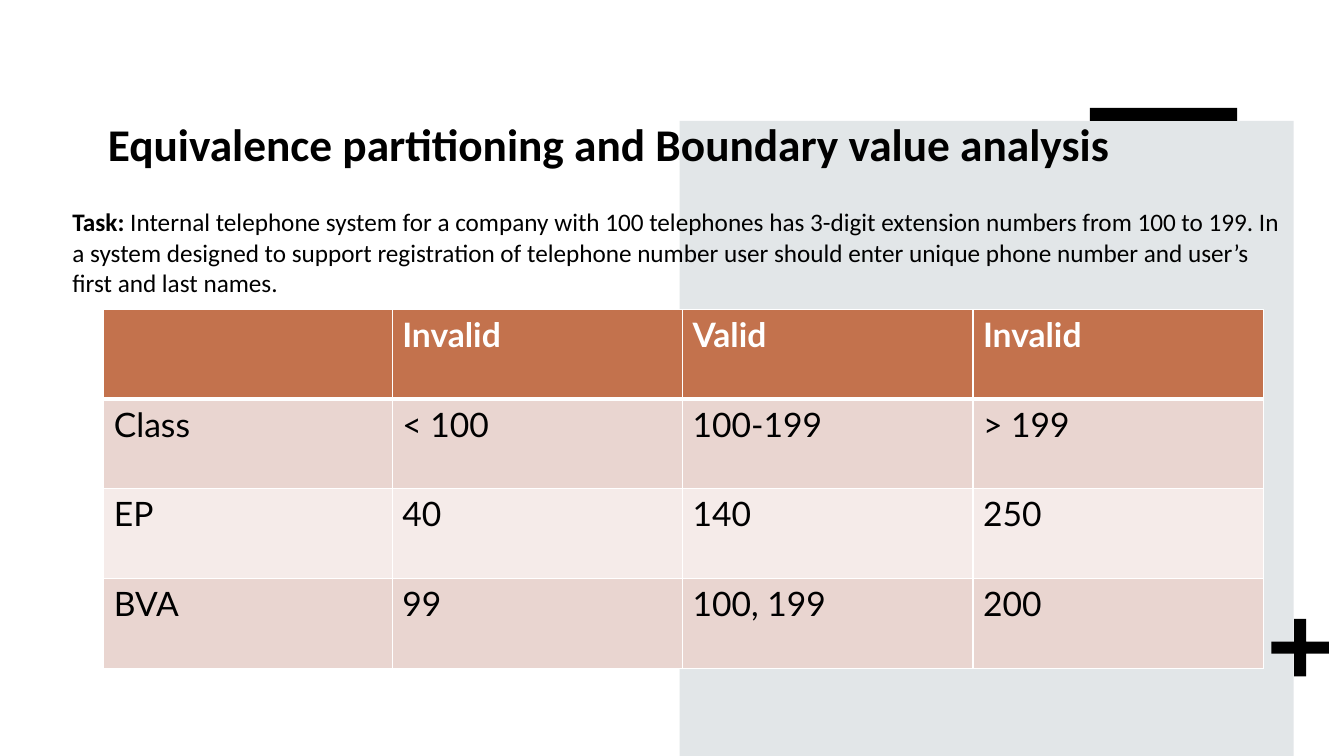
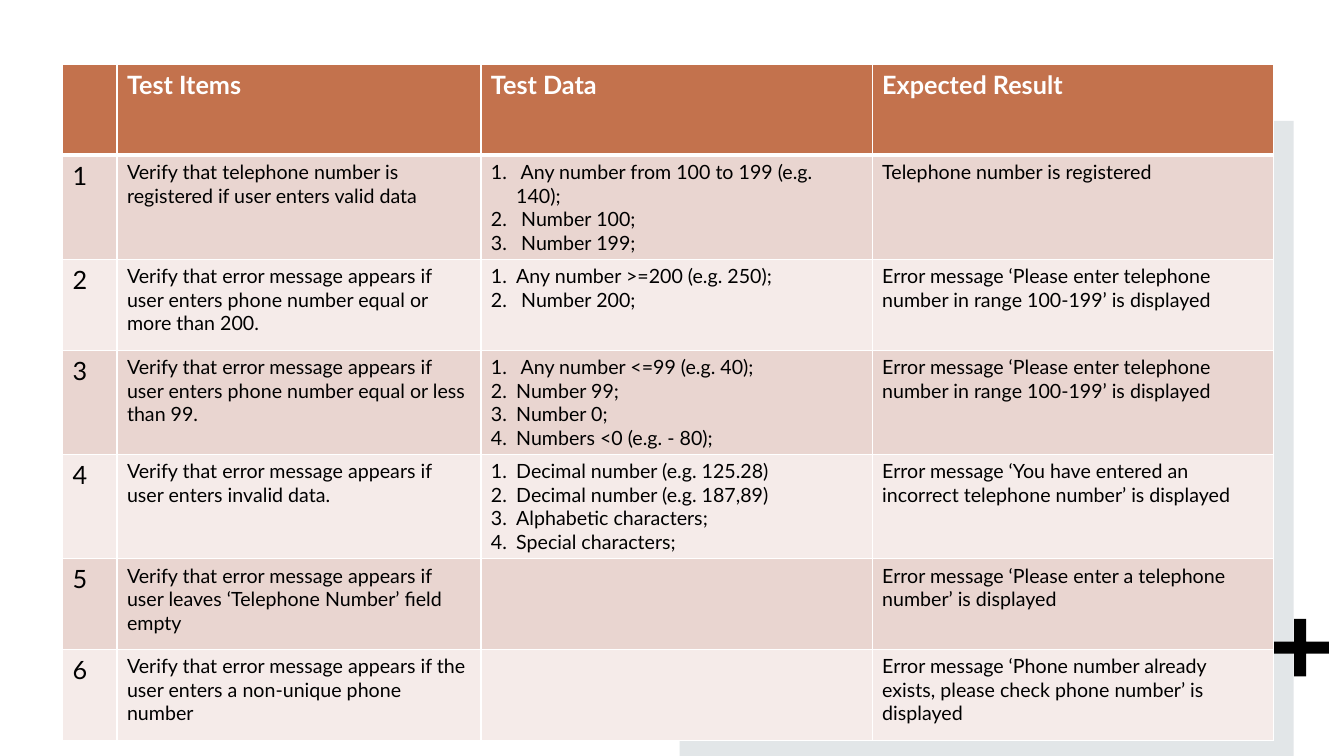
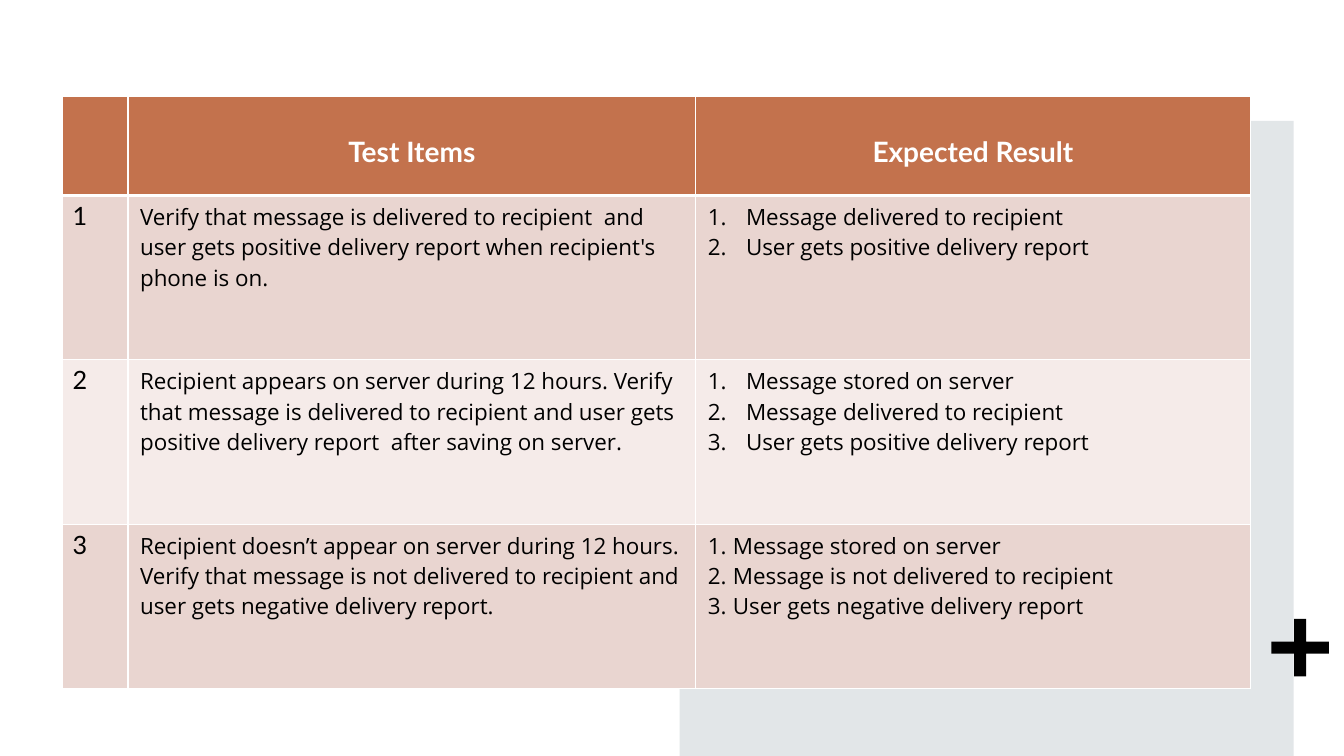
"""Build three slides of test design tables with python-pptx."""

from dataclasses import dataclass, field
from typing import Union

import lxml.etree
import pptx
import pptx.dml.color
import pptx.enum.shapes
import pptx.enum.text
import pptx.oxml.ns
import pptx.util

Inches = pptx.util.Inches
Pt = pptx.util.Pt
RGBColor = pptx.dml.color.RGBColor
Shape = pptx.enum.shapes.MSO_SHAPE
Align = pptx.enum.text.PP_ALIGN
qn = pptx.oxml.ns.qn


@dataclass(frozen=True)
class TextStyle:
    font: str
    size: float
    color: str = "000000"
    bold: bool = False
    alignment: Align = Align.LEFT


@dataclass(frozen=True)
class Theme:
    panel: str = "E2E6E8"
    accent: str = "000000"
    header: str = "C3724D"
    bands: tuple[str, str] = ("E9D5D0", "F5EBE9")
    border: str = "FFFFFF"
    border_width: float = 1
    header_rule: float = 3
    title: TextStyle = TextStyle("Calibri", 32.4, bold=True, alignment=Align.CENTER)
    task: TextStyle = TextStyle("Calibri", 18)
    large_header: TextStyle = TextStyle("Lato", 24, "FFFFFF", True)
    header_text: TextStyle = TextStyle("Lato", 18, "FFFFFF", True)
    centered_header: TextStyle = TextStyle("Lato", 20, "FFFFFF", True, Align.CENTER)
    large_cell: TextStyle = TextStyle("Lato", 24)
    number: TextStyle = TextStyle("Lato", 18)
    detail: TextStyle = TextStyle("Lato", 14)
    delivery: TextStyle = TextStyle("Open Sans", 16)


THEME = Theme()


@dataclass(frozen=True)
class Decoration:
    kind: Shape
    left: float
    top: float
    width: float
    height: float
    color: str
    adjustment: float | None = None


@dataclass(frozen=True)
class Steps:
    items: tuple[str, ...]
    indent: float = 0.25


Content = Union[str, Steps]


@dataclass(frozen=True)
class Insets:
    side: float = 0.1
    top: float = 0.05
    bottom: float = 0.05


@dataclass(frozen=True)
class Column:
    header: str
    width: float
    style: TextStyle
    insets: Insets = Insets()


@dataclass(frozen=True)
class TableContent:
    left: float
    top: float
    header_height: float
    row_height: float
    columns: tuple[Column, ...]
    rows: tuple[tuple[Content, ...], ...]
    header_style: TextStyle
    header_insets: Insets = field(default_factory=Insets)


DECORATIONS = (
    Decoration(Shape.RECTANGLE, 6.74, 1.2, 6.09, 6.3, THEME.panel),
    Decoration(Shape.CROSS, 12.61, 6.14, 0.57, 0.57, THEME.accent, 0.395),
    Decoration(Shape.RECTANGLE, 10.81, 1.07, 1.46, 0.13, THEME.accent),
)

RANGE_ERROR = "Error message ‘Please enter telephone number in range 100-199’ is displayed"
DELIVERY_INSETS = Insets(0.12, 0.06, 0.06)

PARTITION_TABLE = TableContent(
    1.03, 3.07, 0.89, 0.89,
    (
        Column("", 2.86, THEME.large_cell),
        Column("Invalid", 2.88, THEME.large_cell),
        Column("Valid", 2.88, THEME.large_cell),
        Column("Invalid", 2.88, THEME.large_cell),
    ),
    (
        ("Class", "< 100", "100-199", "> 199"),
        ("EP", "40", "140", "250"),
        ("BVA", "99", "100, 199", "200"),
    ),
    THEME.large_header,
)

REGISTRATION_TABLE = TableContent(
    0.62, 0.64, 0.9, 0.9,
    (
        Column("", 0.54, THEME.number),
        Column("Test Items", 3.61, THEME.detail),
        Column("Test Data", 3.88, THEME.detail),
        Column("Expected Result", 3.98, THEME.detail),
    ),
    (
        (
            "1",
            "Verify that telephone number is registered if user enters valid data",
            Steps((" Any number from 100 to 199 (e.g. 140);", " Number 100;", " Number 199;")),
            "Telephone number is registered",
        ),
        (
            "2",
            "Verify that error message appears if user enters phone number equal or more than 200.",
            Steps(("Any number >=200 (e.g. 250);", " Number 200;")),
            RANGE_ERROR,
        ),
        (
            "3",
            "Verify that error message appears if user enters phone number equal or less than 99.",
            Steps((" Any number <=99 (e.g. 40);", "Number 99;", "Number 0;", "Numbers <0 (e.g. - 80);")),
            RANGE_ERROR,
        ),
        (
            "4",
            "Verify that error message appears if user enters invalid data.",
            Steps((
                "Decimal number (e.g. 125.28)",
                "Decimal number (e.g. 187,89)",
                "Alphabetic characters;",
                "Special characters;",
            )),
            "Error message ‘You have entered an incorrect telephone number’ is displayed",
        ),
        (
            "5",
            "Verify that error message appears if user leaves ‘Telephone Number’ field empty",
            "",
            "Error message ‘Please enter a telephone number’ is displayed",
        ),
        (
            "6",
            "Verify that error message appears if the user enters a non-unique phone number",
            "",
            "Error message ‘Phone number already exists, please check phone number’ is displayed",
        ),
    ),
    THEME.header_text,
)

DELIVERY_TABLE = TableContent(
    0.62, 0.96, 0.98, 1.63,
    (
        Column("", 0.65, THEME.number),
        Column("Test Items", 5.63, THEME.delivery, DELIVERY_INSETS),
        Column("Expected Result", 5.5, THEME.delivery, DELIVERY_INSETS),
    ),
    (
        (
            "1",
            "Verify that message is delivered to recipient  and user gets positive delivery report "
            "when recipient's phone is on.",
            Steps(("Message delivered to recipient", "User gets positive delivery report"), 0.38),
        ),
        (
            "2",
            "Recipient appears on server during 12 hours. Verify that message is delivered to "
            "recipient and user gets positive delivery report  after saving on server.",
            Steps((
                "Message stored on server",
                "Message delivered to recipient",
                "User gets positive delivery report",
            ), 0.38),
        ),
        (
            "3",
            "Recipient doesn’t appear on server during 12 hours. Verify that message is not "
            "delivered to recipient and user gets negative delivery report.",
            Steps((
                "Message stored on server",
                "Message is not delivered to recipient",
                "User gets negative delivery report",
            )),
        ),
    ),
    THEME.centered_header,
    Insets(top=0.38),
)


def style_paragraph(paragraph, style: TextStyle) -> None:
    """Apply a text style to a whole paragraph."""
    paragraph.alignment = style.alignment
    paragraph.font.name = style.font
    paragraph.font.size = Pt(style.size)
    paragraph.font.bold = style.bold
    paragraph.font.color.rgb = RGBColor.from_string(style.color)


def number_paragraph(paragraph, indent: float) -> None:
    """Give a paragraph a hanging automatic number."""
    properties = paragraph._p.get_or_add_pPr()
    properties.set("marL", str(Inches(indent)))
    properties.set("indent", str(-Inches(indent)))
    lxml.etree.SubElement(properties, qn("a:buAutoNum"), type="arabicPeriod")


def set_insets(target, insets: Insets) -> None:
    """Set the margins of a cell or text frame."""
    target.margin_left = target.margin_right = Inches(insets.side)
    target.margin_top = Inches(insets.top)
    target.margin_bottom = Inches(insets.bottom)


def add_borders(cell, top: float, bottom: float) -> None:
    """Draw the four borders of a table cell."""
    properties = cell._tc.get_or_add_tcPr()
    widths = {"lnL": THEME.border_width, "lnR": THEME.border_width, "lnT": top, "lnB": bottom}
    for tag, width in widths.items():
        line = lxml.etree.SubElement(properties, qn(f"a:{tag}"), w=str(Pt(width)))
        fill = lxml.etree.SubElement(line, qn("a:solidFill"))
        lxml.etree.SubElement(fill, qn("a:srgbClr"), val=THEME.border)


def fill_cell(cell, content: Content, style: TextStyle, insets: Insets, row: int) -> None:
    """Write and style one table cell."""
    top = THEME.header_rule if row == 1 else THEME.border_width
    bottom = THEME.header_rule if row == 0 else THEME.border_width
    add_borders(cell, top, bottom)
    color = THEME.header if row == 0 else THEME.bands[(row - 1) % 2]
    cell.fill.solid()
    cell.fill.fore_color.rgb = RGBColor.from_string(color)
    set_insets(cell, insets)
    items = content.items if isinstance(content, Steps) else (content,)
    cell.text = "\n".join(items)
    for paragraph in cell.text_frame.paragraphs:
        if isinstance(content, Steps):
            number_paragraph(paragraph, content.indent)
        style_paragraph(paragraph, style)


def add_table(slide, content: TableContent) -> None:
    """Draw a banded table with a header row."""
    width = sum(column.width for column in content.columns)
    height = content.header_height + content.row_height * len(content.rows)
    table = slide.shapes.add_table(
        len(content.rows) + 1, len(content.columns),
        Inches(content.left), Inches(content.top), Inches(width), Inches(height),
    ).table
    table.horz_banding = False
    for index, row in enumerate(table.rows):
        row.height = Inches(content.row_height if index else content.header_height)
    for index, column in enumerate(content.columns):
        table.columns[index].width = Inches(column.width)
        fill_cell(table.cell(0, index), column.header, content.header_style, content.header_insets, 0)
        for row, values in enumerate(content.rows, start=1):
            fill_cell(table.cell(row, index), values[index], column.style, column.insets, row)


def add_decorations(slide) -> None:
    """Draw the panel, cross and bar that all slides share."""
    for decoration in DECORATIONS:
        shape = slide.shapes.add_shape(
            decoration.kind, Inches(decoration.left), Inches(decoration.top),
            Inches(decoration.width), Inches(decoration.height),
        )
        shape.shadow.inherit = False
        shape.fill.solid()
        shape.fill.fore_color.rgb = RGBColor.from_string(decoration.color)
        shape.line.fill.background()
        if decoration.adjustment is not None:
            shape.adjustments[0] = decoration.adjustment


def add_text(
    slide, top: float, width: float, height: float,
    runs: tuple[tuple[str, bool], ...], style: TextStyle, insets: Insets,
) -> None:
    """Add a one-paragraph text box at the left margin."""
    frame = slide.shapes.add_textbox(
        Inches(0.62), Inches(top), Inches(width), Inches(height)
    ).text_frame
    frame.word_wrap = True
    set_insets(frame, insets)
    paragraph = frame.paragraphs[0]
    style_paragraph(paragraph, style)
    for text, bold in runs:
        run = paragraph.add_run()
        run.text = text
        if bold != style.bold:
            run.font.bold = bold


def add_heading(slide) -> None:
    """Add the title and the task description."""
    title = (("Equivalence partitioning and Boundary value analysis", True),)
    add_text(slide, 1.07, 10.84, 0.49, title, THEME.title, Insets(top=0.08))
    task = (
        ("Task: ", True),
        ("Internal telephone system for a company with 100 telephones has 3-digit extension "
         "numbers from 100 to 199. In a system designed to support registration of telephone "
         "number user should enter unique phone number and user’s first and last names.", False),
    )
    add_text(slide, 2, 12.23, 4.35, task, THEME.task, Insets())


def main() -> None:
    """Build and save the presentation."""
    presentation = pptx.Presentation()
    presentation.slide_width = Inches(13.33)
    presentation.slide_height = Inches(7.5)
    for content in (PARTITION_TABLE, REGISTRATION_TABLE, DELIVERY_TABLE):
        slide = presentation.slides.add_slide(presentation.slide_layouts[6])
        add_decorations(slide)
        if content is PARTITION_TABLE:
            add_heading(slide)
        add_table(slide, content)
    presentation.save("out.pptx")


if __name__ == "__main__":
    main()
